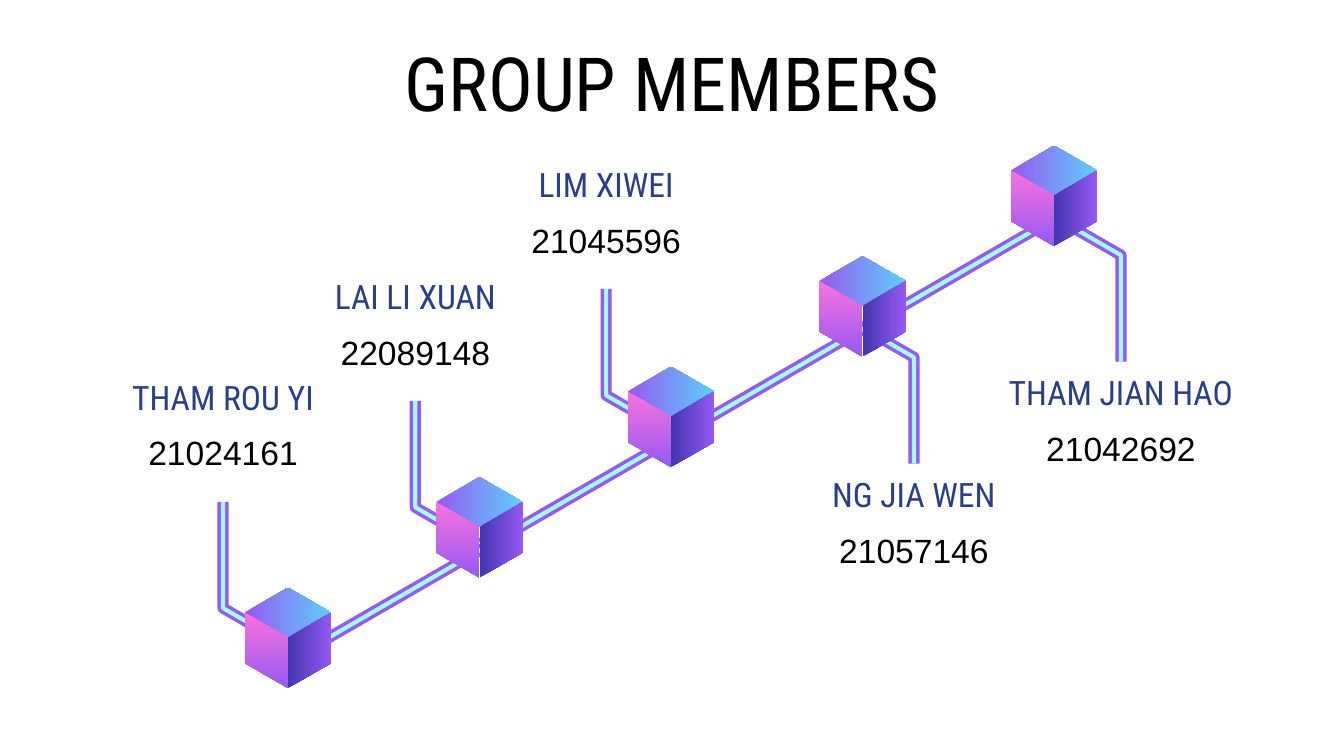
import pptx
import pptx.util
from lxml import etree
from pptx.dml.color import RGBColor
from pptx.enum.shapes import MSO_CONNECTOR
from pptx.enum.text import MSO_ANCHOR, MSO_AUTO_SIZE, PP_ALIGN
from pptx.oxml.ns import qn

Pt = pptx.util.Pt

BLACK = RGBColor(0x00, 0x00, 0x00)
NAVY = RGBColor(0x29, 0x3E, 0x8D)
PURPLE = RGBColor(0x96, 0x59, 0xF4)
MINT = RGBColor(0xA0, 0xFD, 0xF1)
SKY = RGBColor(0x5C, 0xCF, 0xFB)
PINK = RGBColor(0xFA, 0x72, 0xDC)
INDIGO = RGBColor(0x43, 0x35, 0xAF)
HEAD = "Roboto Condensed"
BODY = "Arial"

TITLE = "GROUP MEMBERS"
# name, number, free end of the leg, side of the cube (-1 left and up, 1 right and down)
MEMBERS = [
    ("THAM ROU YI", "21024161", (119.5, 268.8), -1),
    ("LAI LI XUAN", "22089148", (222.5, 214.8), -1),
    ("LIM XIWEI", "21045596", (324.7, 154.8), -1),
    ("NG JIA WEN", "21057146", (489.6, 248.4), 1),
    ("THAM JIAN HAO", "21042692", (600.5, 193.7), 1),
]
STROKES = [(PURPLE, 6), (MINT, 2.25)]

FIRST = (154.3, 314.8)    # top corner of the lowest cube
STEP = (102.6, -59.2)     # from one cube to the next
HALF, RISE, SIDE = 23.2, 13.4, 27
LEG_X, LEG_Y, DROP = 37.4, 78.5, 57
LABEL_W, NAME_H, NUM_H = 138.2, 20, 40
NUM_DY = 19.6


def write(box, text, *, size=18, font=BODY, color=BLACK):
    frame = box.text_frame
    frame.word_wrap = True
    frame.auto_size = MSO_AUTO_SIZE.NONE
    frame.vertical_anchor = MSO_ANCHOR.MIDDLE
    frame.margin_left = frame.margin_right = Pt(7.2)
    frame.margin_top = frame.margin_bottom = Pt(7.2)
    para = frame.paragraphs[0]
    para.alignment = PP_ALIGN.CENTER
    run = para.add_run()
    run.text = text
    run.font.size = Pt(size)
    run.font.name = font
    run.font.bold = False
    run.font.color.rgb = color


def place(box, left, top, width, height):
    box.left, box.top = Pt(left), Pt(top)
    box.width, box.height = Pt(width), Pt(height)


def outline(shapes, points, close):
    spots = [(Pt(x), Pt(y)) for x, y in points]
    pen = shapes.build_freeform(*spots[0])
    pen.add_line_segments(spots[1:], close=close)
    shape = pen.convert_to_shape()
    shape.shadow.inherit = False
    return shape


def stroke(shape, color, width):
    shape.line.color.rgb = color
    shape.line.width = Pt(width)


def add_leg(shapes, tip, side):
    x, y = tip
    points = [(x - side * LEG_X, y - side * LEG_Y), (x, y - side * DROP), tip]
    for color, width in STROKES:
        leg = outline(shapes, points, False)
        leg.fill.background()
        stroke(leg, color, width)


def add_rail(shapes):
    for color, width in STROKES:
        rail = shapes.add_connector(
            MSO_CONNECTOR.STRAIGHT, Pt(563), Pt(118.1), Pt(150.5), Pt(356.4))
        stroke(rail, color, width)
        etree.SubElement(rail._element.spPr, qn("a:effectLst"))


def add_cube(shapes, x, y):
    left, right = (x - HALF, y + RISE), (x + HALF, y + RISE)
    mid, low = (x, y + 2 * RISE), (x, y + 2 * RISE + SIDE)
    faces = [
        ([mid, left, (x, y), right], PURPLE, SKY, 0),
        ([left, (left[0], left[1] + SIDE), low, mid], PINK, PURPLE, 270),
        ([right, mid, low, (right[0], right[1] + SIDE)], INDIGO, PURPLE, 0),
    ]
    for points, start, end, angle in faces:
        face = outline(shapes, points, True)
        face.line.fill.background()
        face.fill.gradient()
        face.fill.gradient_angle = angle
        for stop, color in zip(face.fill.gradient_stops, (start, end)):
            stop.color.rgb = color


def add_label(shapes, name, number, tip, side):
    left = tip[0] - LABEL_W / 2
    top = tip[1] + (6.5 if side > 0 else -66)
    box = shapes.add_textbox(Pt(left), Pt(top), Pt(LABEL_W), Pt(NAME_H))
    write(box, name, font=HEAD, color=NAVY)
    box = shapes.add_textbox(Pt(left), Pt(top + NUM_DY), Pt(LABEL_W), Pt(NUM_H))
    write(box, number)


def main():
    deck = pptx.Presentation()
    deck.slide_width, deck.slide_height = Pt(720), Pt(405)
    slide = deck.slides.add_slide(deck.slide_layouts[5])
    shapes = slide.shapes
    place(shapes.title, 40.7, 23.8, 638.6, 40.3)
    write(shapes.title, TITLE, size=40, font=HEAD)

    for name, number, tip, side in MEMBERS:
        add_leg(shapes, tip, side)
    add_rail(shapes)
    for i, (name, number, tip, side) in enumerate(MEMBERS):
        add_cube(shapes, FIRST[0] + i * STEP[0], FIRST[1] + i * STEP[1])
        add_label(shapes, name, number, tip, side)
    deck.save("out.pptx")


if __name__ == "__main__":
    main()
